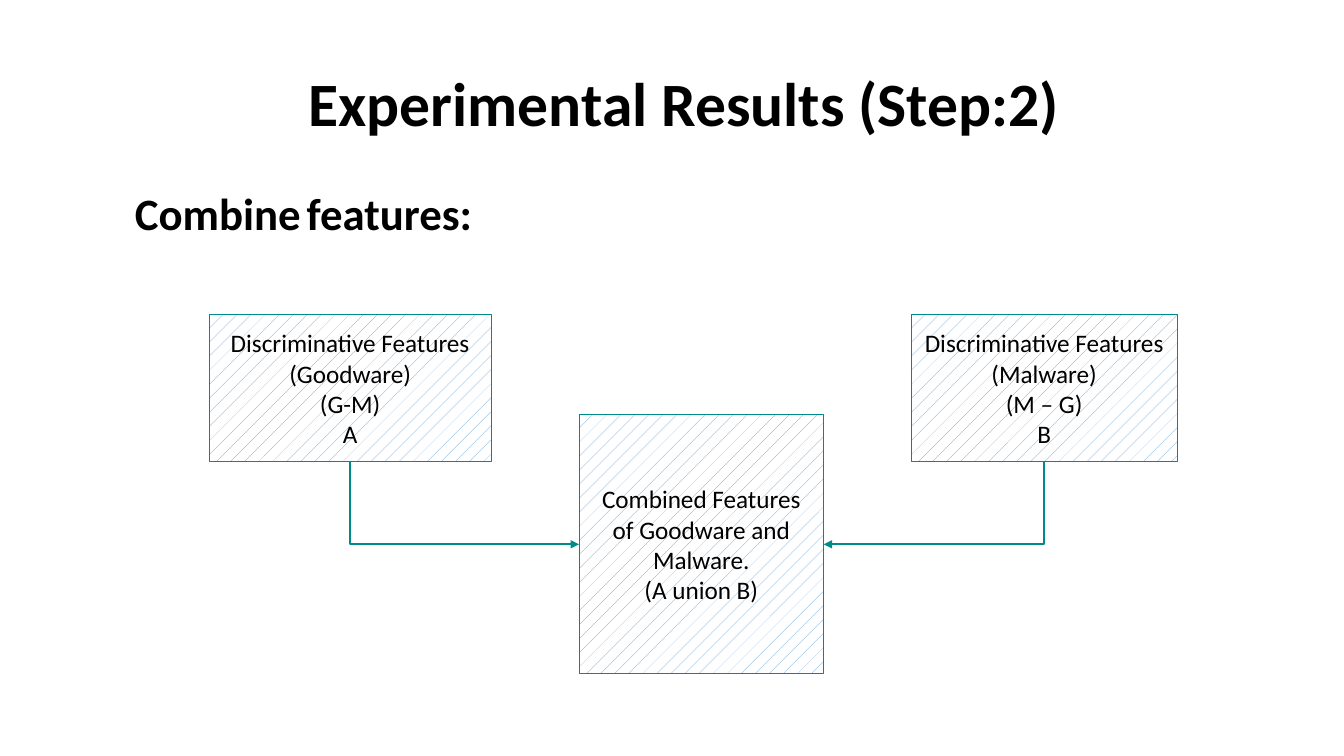
from lxml.etree import SubElement
from pptx import Presentation
from pptx.dml.color import RGBColor
from pptx.enum.dml import MSO_PATTERN as Pattern
from pptx.enum.shapes import MSO_CONNECTOR as Connector, MSO_SHAPE as Shape
from pptx.enum.text import MSO_ANCHOR as Anchor, PP_ALIGN as Align
from pptx.oxml.ns import qn
from pptx.util import Cm, Pt

FONT = "Calibri"
BLACK, WHITE, BLUE, TEAL = "000000", "FFFFFF", "5B9BD5", "008B8B"
TOP, LEFT, BOTTOM, RIGHT = 0, 1, 2, 3


def color(hex_code):
    """Turn a hex string into a colour."""
    return RGBColor.from_string(hex_code)


def style_run(run, size, bold=False):
    """Give a run the slide's font."""
    run.font.name = FONT
    run.font.size = Pt(size)
    run.font.bold = bold
    run.font.color.rgb = color(BLACK)


def add_title(slide, left, top, width, height):
    """Place the centred slide title in the given box."""
    frame = slide.shapes.add_textbox(Cm(left), Cm(top), Cm(width), Cm(height)).text_frame
    frame.word_wrap = True
    frame.vertical_anchor = Anchor.MIDDLE
    frame.text = "Experimental Results (Step:2)"
    heading = frame.paragraphs[0]
    heading.alignment = Align.CENTER
    heading.line_spacing = 0.9
    style_run(heading.runs[0], 44, True)


def add_subtitle(slide, left, top, width, height):
    """Place the section heading with its narrower word gap."""
    frame = slide.shapes.add_textbox(Cm(left), Cm(top), Cm(width), Cm(height)).text_frame
    frame.word_wrap = True
    frame.margin_left = Cm(0.76)
    heading = frame.paragraphs[0]
    heading.line_spacing = 0.9
    heading.space_before = Pt(10)
    for words, size, bold in (("Combine", 32, True), (" ", 18, False), ("features:", 32, True)):
        run = heading.add_run()
        run.text = words
        style_run(run, size, bold)


def add_feature_box(slide, left, top, width, height, lines):
    """Place one patterned feature box with centred lines."""
    box = slide.shapes.add_shape(Shape.RECTANGLE, Cm(left), Cm(top), Cm(width), Cm(height))
    box.shadow.inherit = False
    box.fill.patterned()
    box.fill.pattern = Pattern.PERCENT_5
    box.fill.fore_color.rgb = color(BLUE)
    box.fill.back_color.rgb = color(WHITE)
    box.line.color.rgb = color(TEAL)
    box.line.width = Pt(0.5)
    frame = box.text_frame
    frame.word_wrap = True
    frame.vertical_anchor = Anchor.MIDDLE
    frame.text = "\n".join(lines)
    for paragraph in frame.paragraphs:
        paragraph.alignment = Align.CENTER
        style_run(paragraph.runs[0], 18)
    return box


def add_elbow_arrow(slide, source, target, side):
    """Lead an arrow down from the source and across into a side of the target."""
    arrow = slide.shapes.add_connector(Connector.ELBOW, 0, 0, 0, 0)
    arrow.begin_connect(source, BOTTOM)
    arrow.end_connect(target, side)
    middle_x = (arrow.begin_x + arrow.end_x) // 2
    middle_y = (arrow.begin_y + arrow.end_y) // 2
    across = abs(arrow.end_x - arrow.begin_x)
    down = abs(arrow.end_y - arrow.begin_y)
    arrow.left, arrow.top = middle_x - down // 2, middle_y - across // 2
    arrow.width, arrow.height = down, across

    properties = arrow._element.spPr
    transform = properties.find(qn("a:xfrm"))
    transform.set("rot", "16200000" if side == LEFT else "5400000")
    transform.set("flipH", "1" if side == LEFT else "0")
    transform.set("flipV", "0")
    properties.find(qn("a:prstGeom")).set("prst", "bentConnector2")
    arrow.line.color.rgb = color(TEAL)
    arrow.line.width = Pt(1.5)
    SubElement(properties.find(qn("a:ln")), qn("a:tailEnd"), type="triangle")
    SubElement(properties, qn("a:effectLst"))


def add_union_diagram(slide, left, top, width, height):
    """Place both feature sets and their union in the given box."""
    goodware = add_feature_box(
        slide, left, top, 7.11, 3.71,
        ["Discriminative Features (Goodware)", "(G-M)", "A"])
    malware = add_feature_box(
        slide, left + width - 6.71, top, 6.71, 3.71,
        ["Discriminative Features (Malware)", "(M – G)", "B"])
    combined = add_feature_box(
        slide, left + 9.32, top + height - 6.53, 6.17, 6.53,
        ["Combined Features of Goodware and Malware.", "(A union B)"])
    add_elbow_arrow(slide, goodware, combined, LEFT)
    add_elbow_arrow(slide, malware, combined, RIGHT)


def main():
    """Build and save the slide."""
    deck = Presentation()
    deck.slide_width, deck.slide_height = Cm(33.87), Cm(19.05)
    slide = deck.slides.add_slide(deck.slide_layouts[6])
    add_title(slide, 2.64, 1, 29.21, 3.35)
    add_subtitle(slide, 2.64, 4.7, 17.7, 1.5)
    add_union_diagram(slide, 5.27, 7.93, 24.4, 9.05)
    deck.save("out.pptx")


if __name__ == "__main__":
    main()
